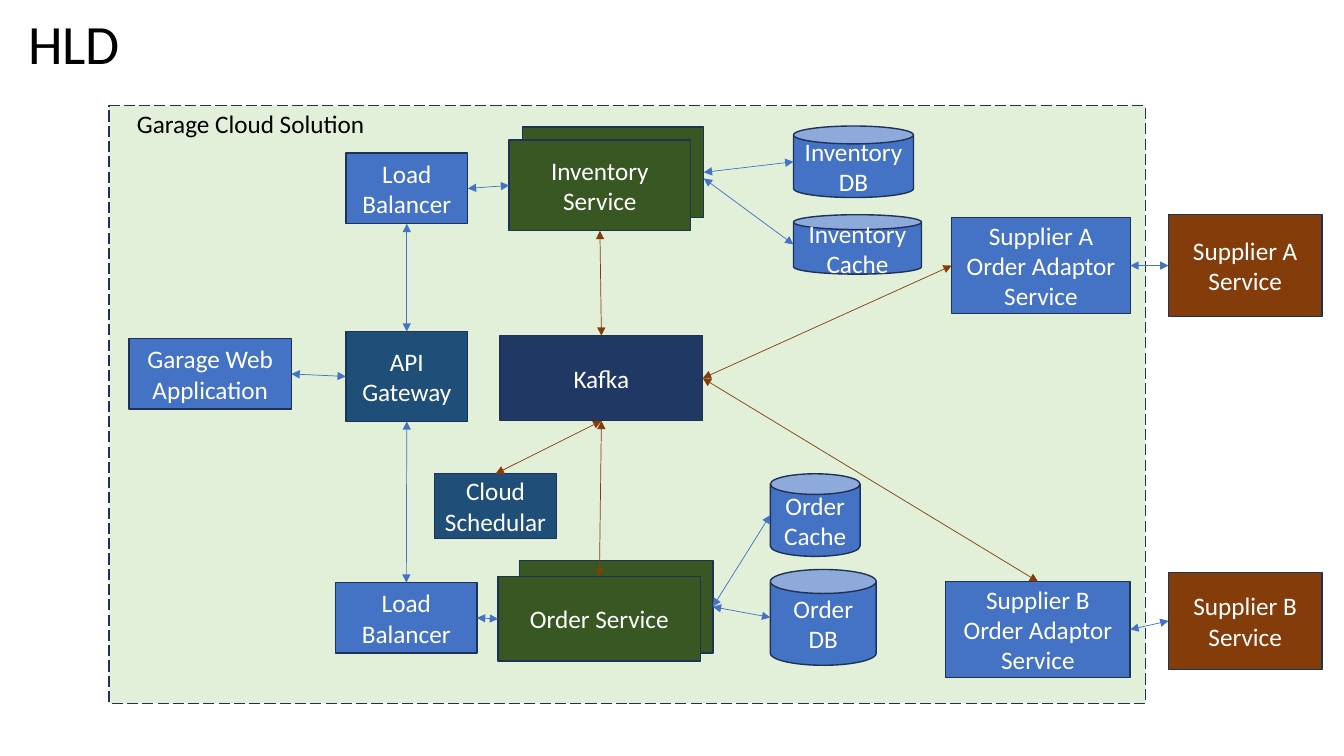
from lxml import etree
from pptx import Presentation
from pptx import util as u
from pptx.dml.color import RGBColor
from pptx.enum import dml, shapes, text
from pptx.oxml.ns import qn

BLUE, TEAL, NAVY = "4472C4", "1F4E79", "203864"
GREEN, MINT, RUST = "385723", "E2F0D9", "843C0B"
EDGE, WHITE, BLACK = "1E3256", "FFFFFF", "000000"
RECT, CAN = shapes.MSO_SHAPE.RECTANGLE, shapes.MSO_SHAPE.CAN
SIDES = {"top": (0.5, 0), "left": (0, 0.5), "bottom": (0.5, 1), "right": (1, 0.5)}


def paint(color):
    return RGBColor.from_string(color)


class Board:
    """Draws diagram parts on a slide, measured in grid cells of a tenth of an inch."""

    cell = u.Inches(0.1)
    font = "Calibri"
    size = 18

    def __init__(self, slide):
        self.slide = slide

    def grid(self, *cells):
        return [round(n * self.cell) for n in cells]

    def letter(self, frame, words, color, size, align):
        frame.word_wrap = True
        line = frame.paragraphs[0]
        line.text = words
        line.alignment = align
        line.font.name = self.font
        line.font.size = u.Pt(size)
        line.font.color.rgb = paint(color)
        return line

    def box(self, place, fill, words="", kind=RECT):
        item = self.slide.shapes.add_shape(kind, *self.grid(*place))
        item.shadow.inherit = False
        item.fill.solid()
        item.fill.fore_color.rgb = paint(fill)
        item.line.color.rgb = paint(EDGE)
        item.line.width = u.Pt(1)
        if words:
            item.text_frame.vertical_anchor = text.MSO_ANCHOR.MIDDLE
            self.letter(item.text_frame, words, WHITE, self.size, text.PP_ALIGN.CENTER)
        return item

    def label(self, place, words, size, anchor=text.MSO_ANCHOR.TOP):
        item = self.slide.shapes.add_textbox(*self.grid(*place))
        item.text_frame.vertical_anchor = anchor
        return self.letter(item.text_frame, words, BLACK, size, text.PP_ALIGN.LEFT)

    def point(self, item, side):
        across, down = SIDES[side]
        return (round(item.left + across * item.width),
                round(item.top + down * item.height))

    def link(self, start, out, end, into, color=BLUE, drop=0):
        x, y = self.point(start, out)
        line = self.slide.shapes.add_connector(
            shapes.MSO_CONNECTOR.STRAIGHT, x, y + self.grid(drop)[0],
            *self.point(end, into))
        line.line.color.rgb = paint(color)
        line.line.width = u.Pt(0.5)
        props = line._element.spPr
        for tag in ("a:headEnd", "a:tailEnd"):
            etree.SubElement(props.find(qn("a:ln")), qn(tag), type="triangle")
        etree.SubElement(props, qn("a:effectLst"))


def main():
    deck = Presentation()
    deck.slide_width, deck.slide_height = u.Inches(13.33), u.Inches(7.5)
    board = Board(deck.slides.add_slide(deck.slide_layouts[6]))
    box, link = board.box, board.link

    cloud = box((10.8, 10.5, 102.8, 59.3), MINT)
    cloud.line.dash_style = dml.MSO_LINE.LONG_DASH
    title = board.label((1.8, 1.8, 115, 5.6), "HLD", 39.6, text.MSO_ANCHOR.MIDDLE)
    title.line_spacing = 0.9
    board.label((12.6, 10.3, 30.5, 4), "Garage Cloud Solution", board.size)

    stock_back = box((51.8, 12.6, 18, 9), GREEN)
    order_back = box((51.5, 55.6, 19.2, 9.2), GREEN)
    stock = box((50.5, 13.9, 18, 9), GREEN, "Inventory Service")
    order = box((49.4, 57.2, 20.1, 8.4), GREEN, "Order Service")

    web = box((12.8, 33.6, 16.1, 7), BLUE, "Garage Web Application")
    gate = box((34.3, 32.9, 12.1, 8.9), TEAL, "API Gateway")
    upper = box((34.3, 15.2, 12.1, 7), BLUE, "Load Balancer")
    lower = box((33.3, 57.8, 14, 7), BLUE, "Load Balancer")
    kafka = box((49.6, 33.3, 20.1, 8.45), NAVY, "Kafka")
    timer = box((43.1, 47, 12.1, 6.4), TEAL, "Cloud Schedular")

    stock_db = box((78.7, 12.5, 11.9, 7.1), BLUE, "Inventory DB", CAN)
    stock_cache = box((78.7, 21.3, 12.7, 5.9), BLUE, "Inventory Cache", CAN)
    order_cache = box((76.4, 47, 8.9, 8.2), BLUE, "Order Cache", CAN)
    order_db = box((76.4, 56.5, 10.5, 9.5), BLUE, "Order DB", CAN)

    suppliers = (
        ("A", (94.4, 21.6, 17.7, 9.5), (115.9, 21.3, 15.2, 10.1), "left"),
        ("B", (93.8, 57.7, 18.3, 9.5), (115.9, 56.8, 15.2, 9.6), "top"),
    )
    for name, near, far, side in suppliers:
        adaptor = box(near, BLUE, f"Supplier {name} Order Adaptor Service")
        service = box(far, RUST, f"Supplier {name} Service")
        link(adaptor, "right", service, "left")
        link(kafka, "right", adaptor, side, RUST)

    link(web, "right", gate, "left")
    link(gate, "top", upper, "bottom")
    link(gate, "bottom", lower, "top")
    link(upper, "right", stock, "left")
    link(lower, "right", order, "left")
    link(stock_back, "right", stock_db, "left")
    link(stock_back, "right", stock_cache, "left", drop=0.6)
    link(order_back, "right", order_db, "left")
    link(order_back, "right", order_cache, "left")
    link(stock, "bottom", kafka, "top", RUST)
    link(kafka, "bottom", order, "top", RUST)
    link(timer, "top", kafka, "bottom", RUST)

    deck.save("out.pptx")


if __name__ == "__main__":
    main()
